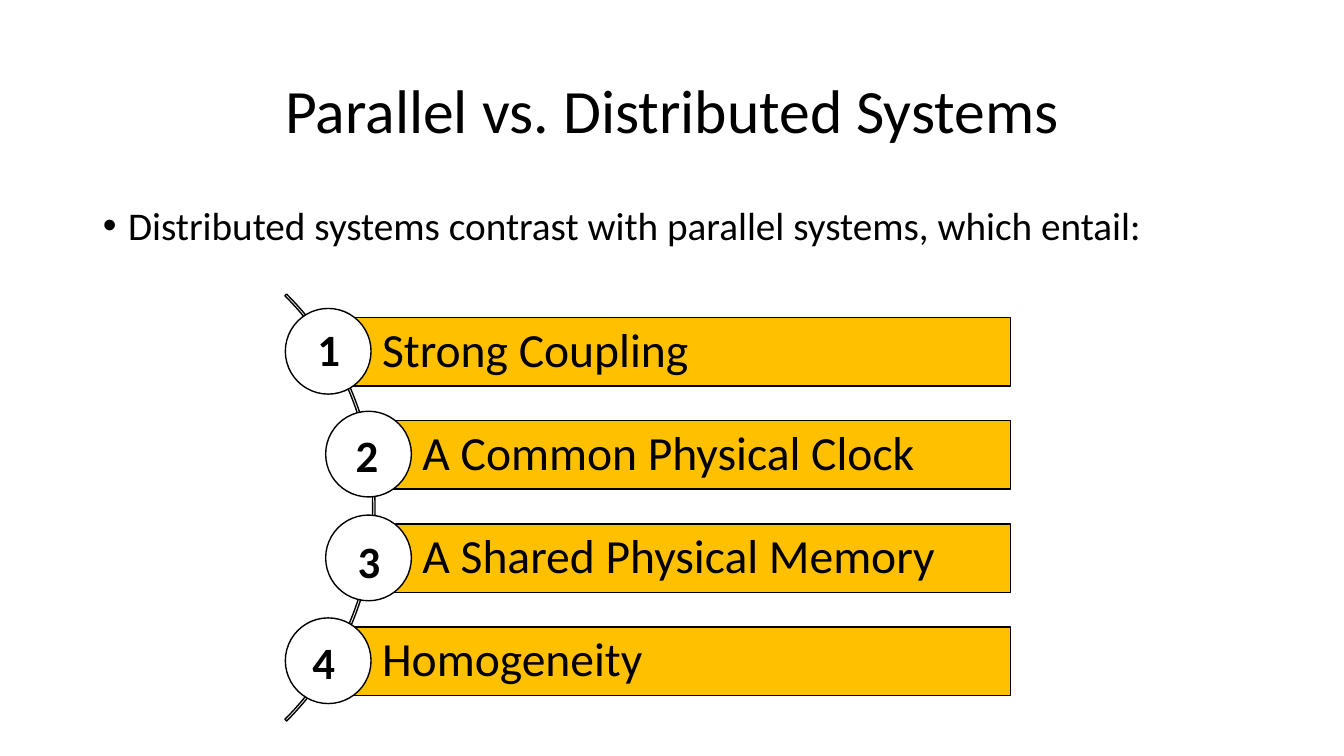
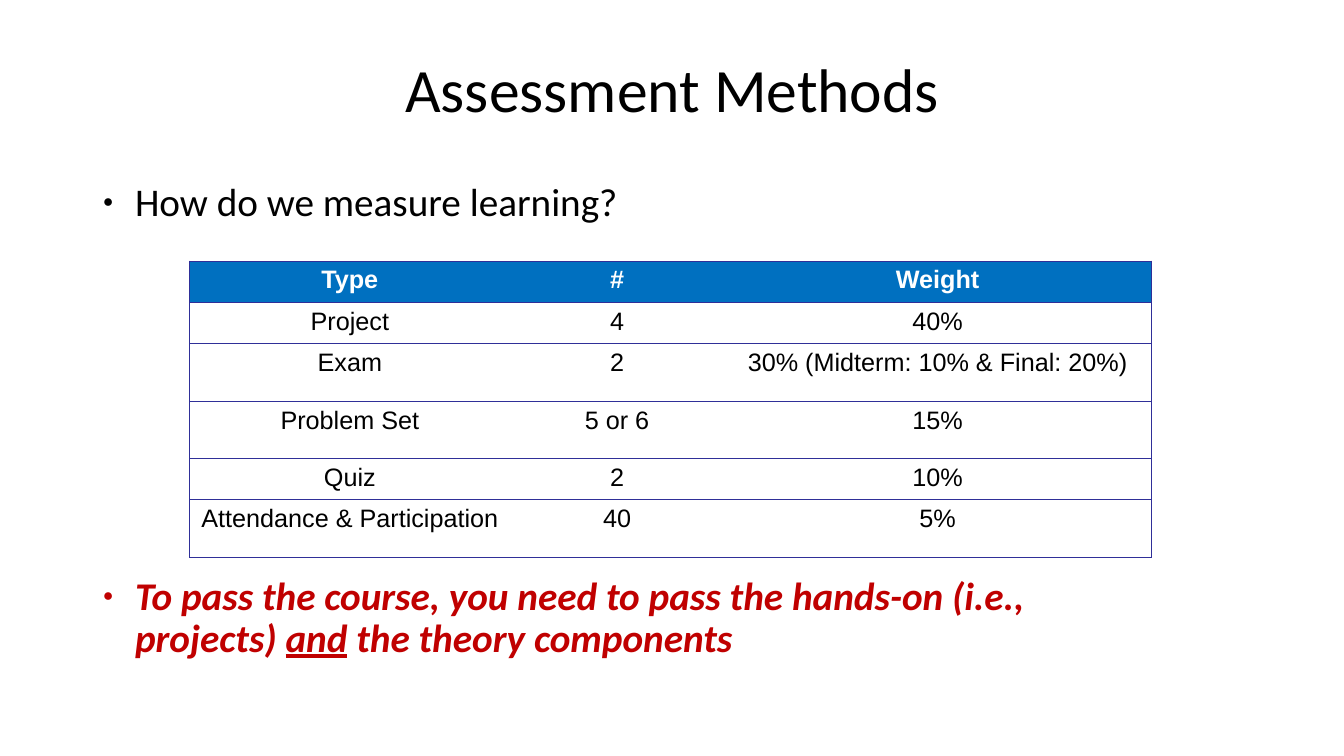
"""Build two course slides: parallel versus distributed systems, and assessment methods."""
from lxml import etree
from pptx import Presentation
from pptx import util as u
from pptx.dml.color import RGBColor
from pptx.enum import shapes, text
from pptx.oxml import ns

PX = 9144
COLORS = {"ink": "000000", "paper": "FFFFFF", "bar": "FFC000",
          "alert": "C00000", "head": "0070C0", "rule": "2F2F98"}
FONT, TABLE_FONT = "Calibri", "Arial"
NO_STYLE = "{2D5ABB26-0587-4C30-8999-92F81FD0307C}"


def add_run(p, words, size, color="ink", font=FONT, **styles):
    r = p.add_run()
    r.text = words
    r.font.name, r.font.size = font, u.Pt(size)
    r.font.color.rgb = RGBColor.from_string(COLORS[color])
    for name, value in styles.items():
        setattr(r.font, name, value)


def add_box(s, kind, box, fill=None):
    sp = s.shapes.add_shape(kind, *[v * PX for v in box])
    sp.shadow.inherit = False
    if fill:
        sp.fill.solid()
        sp.fill.fore_color.rgb = RGBColor.from_string(COLORS[fill])
    else:
        sp.fill.background()
    sp.line.color.rgb = RGBColor.from_string(COLORS["ink"])
    sp.line.width = u.Pt(1)
    return sp


prs = Presentation()
prs.slide_width, prs.slide_height = 1333 * PX, 750 * PX

alert = {"color": "alert", "bold": True, "italic": True}
pages = [
    {"title": "Parallel vs. Distributed Systems",
     "title_box": (92, 40, 1150, 145), "body_box": (92, 200, 1150, 476),
     "bullet": "•", "bullet_size": 100, "indent": (25, -25), "align": text.PP_ALIGN.JUSTIFY,
     "body": [[("Distributed systems contrast with parallel systems, which entail:", {})]]},
    {"title": "Assessment Methods",
     "title_box": (217, 34, 900, 116), "body_box": (81, 176, 1038, 495),
     "bullet": "●", "bullet_size": 45, "indent": (43, -32), "align": text.PP_ALIGN.LEFT,
     "body": [[("How do we measure learning?", {})],
              [("To pass the course, you need to pass the hands-on (i.e., projects) ", alert),
               ("and", {**alert, "underline": True}),
               (" the theory components", alert)]]},
]
for page in pages:
    s = prs.slides.add_slide(prs.slide_layouts[1])
    title, body = s.placeholders
    for sp, box in ((title, page["title_box"]), (body, page["body_box"])):
        sp.left, sp.top, sp.width, sp.height = [v * PX for v in box]
        sp.text_frame.word_wrap = True
        sp.text_frame.auto_size = text.MSO_AUTO_SIZE.NONE
    title.text_frame.vertical_anchor = text.MSO_ANCHOR.MIDDLE
    p = title.text_frame.paragraphs[0]
    p.alignment, p.line_spacing = text.PP_ALIGN.CENTER, 0.9
    add_run(p, page["title"], 44)

    tf = body.text_frame
    for i, runs in enumerate(page["body"]):
        p = tf.add_paragraph() if i else tf.paragraphs[0]
        pPr = p._p.get_or_add_pPr()
        for key, value in zip(("marL", "indent"), page["indent"]):
            pPr.set(key, str(value * PX))
        for tag, key, value in (("a:buSzPct", "val", str(page["bullet_size"] * 1000)),
                                ("a:buFont", "typeface", TABLE_FONT),
                                ("a:buChar", "char", page["bullet"])):
            etree.SubElement(pPr, ns.qn(tag)).set(key, value)
        p.alignment, p.line_spacing = page["align"], 0.9
        p.space_before = u.Pt(251 if i else 0)
        for words, styles in runs:
            add_run(p, words, 28, **styles)

s = prs.slides[0]
arc = add_box(s, shapes.MSO_SHAPE.BLOCK_ARC, (-227, 204, 599, 599))
for i, value in enumerate((189, 27, 0.004)):
    arc.adjustments[i] = value

traits = [("Strong Coupling", 325), ("A Common Physical Clock", 365),
          ("A Shared Physical Memory", 365), ("Homogeneity", 325)]
for i, (trait, left) in enumerate(traits):
    top = 315 + round(102.4 * i)
    bar = add_box(s, shapes.MSO_SHAPE.RECTANGLE, (left, top, 1002 - left, 68), "bar")
    tf = bar.text_frame
    tf.word_wrap, tf.vertical_anchor = True, text.MSO_ANCHOR.MIDDLE
    tf.margin_left, tf.margin_right = 54 * PX, 9 * PX
    p = tf.paragraphs[0]
    p.alignment, p.line_spacing = text.PP_ALIGN.LEFT, 0.9
    add_run(p, trait, 34)
    add_box(s, shapes.MSO_SHAPE.OVAL, (left - 42, top - 9, 85, 85), "paper")

for i, (left, top) in enumerate([(305, 314), (343, 419), (345, 525), (300, 625)], 1):
    sp = s.shapes.add_textbox(left * PX, top * PX, 43 * PX, 64 * PX)
    sp.text_frame.word_wrap = False
    add_run(sp.text_frame.paragraphs[0], str(i), 32, bold=True)

s = prs.slides[1]
rows = [("Type", "#", "Weight"),
        ("Project", "4", "40%"),
        ("Exam", "2", "30% (Midterm: 10% & Final: 20%)"),
        ("Problem Set", "5 or 6", "15%"),
        ("Quiz", "2", "10%"),
        ("Attendance & Participation", "40", "5%")]
heights, widths = (41, 41, 57, 57, 41, 57), (318, 212, 424)
frame = s.shapes.add_table(len(rows), len(widths), 188 * PX, 259 * PX,
                           sum(widths) * PX, sum(heights) * PX)
tbl = frame.table
tbl.horz_banding = False
tbl._tbl.tblPr.find(ns.qn("a:tableStyleId")).text = NO_STYLE
for col, width in zip(tbl.columns, widths):
    col.width = width * PX
for j, (row, height) in enumerate(zip(rows, heights)):
    tbl.rows[j].height = height * PX
    for i, words in enumerate(row):
        cell = tbl.cell(j, i)
        tcPr = cell._tc.get_or_add_tcPr()
        sides = {0: ["lnL"], 2: ["lnR"]}.get(i, []) + ["lnT", "lnB"]
        for side in sides:
            ln = etree.SubElement(tcPr, ns.qn("a:" + side), w=str(u.Pt(0.75)))
            fill = etree.SubElement(ln, ns.qn("a:solidFill"))
            etree.SubElement(fill, ns.qn("a:srgbClr"), val=COLORS["rule"])
        if j:
            cell.fill.background()
        else:
            cell.fill.solid()
            cell.fill.fore_color.rgb = RGBColor.from_string(COLORS["head"])
        cell.margin_left = cell.margin_right = 10 * PX
        cell.margin_top = cell.margin_bottom = 5 * PX
        p = cell.text_frame.paragraphs[0]
        p.alignment = text.PP_ALIGN.CENTER
        add_run(p, words, 18, "ink" if j else "paper", TABLE_FONT, bold=j == 0)

prs.save("out.pptx")
